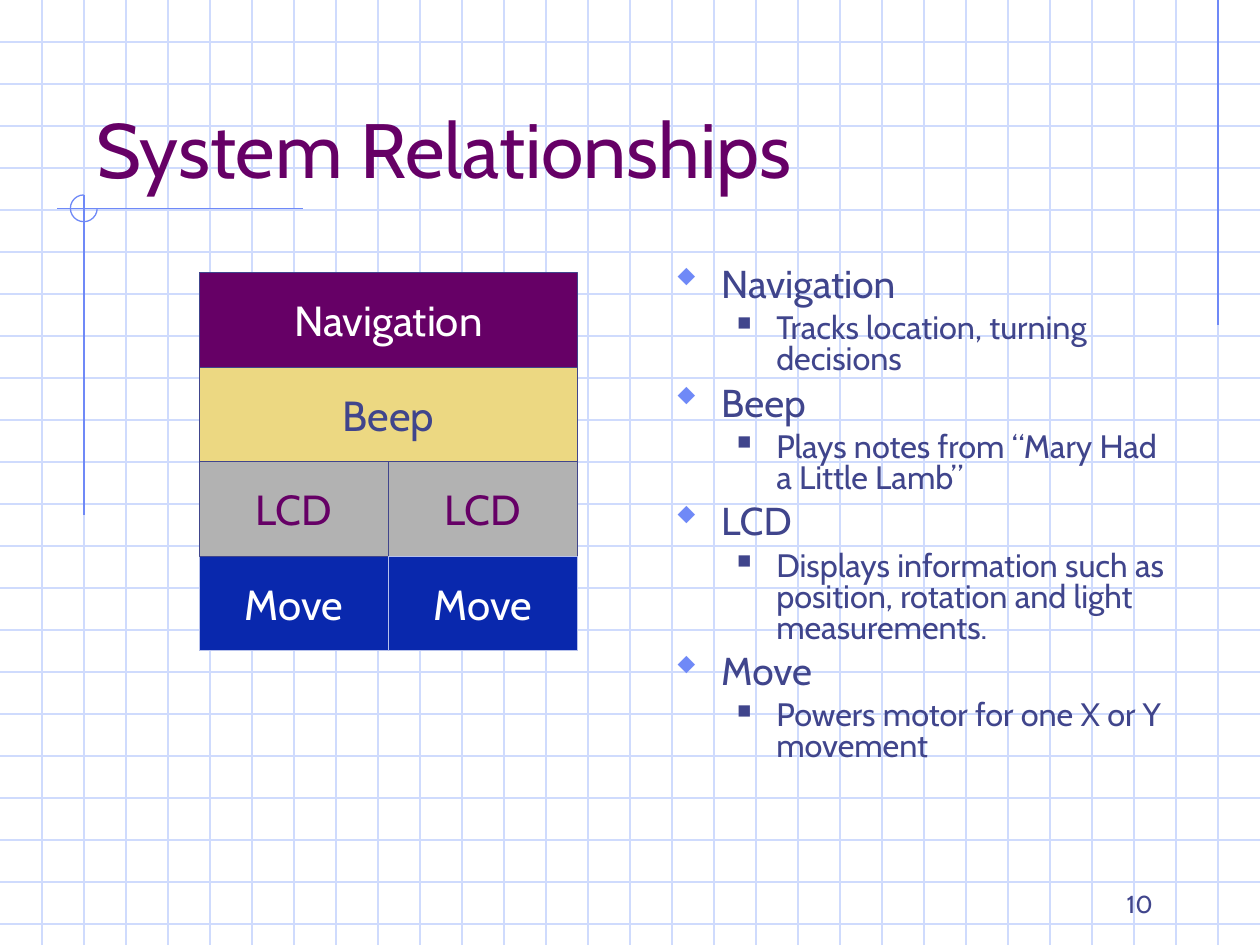
from dataclasses import dataclass

from lxml.etree import SubElement
from pptx import Presentation
from pptx.dml.color import RGBColor as Rgb
from pptx.enum.shapes import MSO_CONNECTOR as Link, MSO_SHAPE as Kind
from pptx.enum.text import MSO_ANCHOR as Anchor, PP_ALIGN as Align
from pptx.oxml.ns import qn
from pptx.util import Cm, Pt

FONT = "Cabin"
MARKS = "Wingdings"
WIDE, HIGH = 25.4, 19.05
STEP = WIDE / 30
LEFT, TOP = 4.02, 5.5
HALF, ROW = WIDE * 0.15, WIDE * 0.075
COLORS = {
    "grid": "CFDBFD",
    "accent": "6F89F7",
    "ink": "40458C",
    "plum": "660066",
    "sand": "ECD882",
    "gray": "B2B2B2",
    "blue": "0928AD",
    "pale": "B7C1EB",
    "white": "FFFFFF",
}


@dataclass
class Box:
    text: str
    col: int
    row: int
    span: int
    fill: str
    ink: str
    edge: str = "ink"


@dataclass
class Level:
    left: float
    hang: float
    before: float
    mark: str
    tint: str
    scale: int
    size: float


BOXES = [
    Box("Navigation", 0, 0, 2, "plum", "white"),
    Box("Move", 0, 3, 1, "blue", "white", "pale"),
    Box("Beep", 0, 1, 2, "sand", "ink"),
    Box("LCD", 1, 2, 1, "gray", "plum"),
    Box("LCD", 0, 2, 1, "gray", "plum"),
    Box("Move", 1, 3, 1, "blue", "white", "pale"),
]
HEAD = Level(0.95, 0.95, 6, "w", "accent", 110, 22.2)
ITEM = Level(2.06, 0.79, 5, "n", "ink", 60, 18.5)
TOPICS = [
    ("Navigation", "Tracks location, turning decisions"),
    ("Beep", "Plays notes from “Mary Had a Little Lamb”"),
    ("LCD", "Displays information such as position, rotation and light measurements."),
    ("Move", "Powers motor for one X or Y movement"),
]


def color(name: str) -> Rgb:
    return Rgb.from_string(COLORS[name])


def style(para, size: float, ink: str) -> None:
    para.font.name = FONT
    para.font.size = Pt(size)
    para.font.color.rgb = color(ink)


def outline(shape, ink: str) -> None:
    shape.line.color.rgb = color(ink)
    shape.line.width = Pt(0.75)


def add_line(slide, x1: float, y1: float, x2: float, y2: float, ink: str) -> None:
    line = slide.shapes.add_connector(Link.STRAIGHT, Cm(x1), Cm(y1), Cm(x2), Cm(y2))
    outline(line, ink)
    SubElement(line._element.spPr, qn("a:effectLst"))


def add_grid(slide) -> None:
    for i in range(1, 23):
        add_line(slide, 0, i * STEP, WIDE, i * STEP, "grid")
    for i in range(1, 30):
        add_line(slide, i * STEP, 0, i * STEP, HIGH, "grid")


def add_trim(slide) -> None:
    add_line(slide, 29 * STEP, 0, 29 * STEP, 6.55, "accent")
    add_line(slide, 6.1, 4.21, 1.15, 4.21, "accent")
    add_line(slide, 2 * STEP, 3.93, 2 * STEP, 10.39, "accent")
    arc = slide.shapes.add_shape(Kind.ARC, Cm(1.42), Cm(3.93), Cm(0.54), Cm(0.54))
    arc.adjustments[0] = 0
    arc.adjustments[1] = 162
    arc.shadow.inherit = False
    arc.fill.background()
    outline(arc, "accent")


def add_frame(slide, x: float, y: float, w: float, h: float, anchor: Anchor):
    frame = slide.shapes.add_textbox(Cm(x), Cm(y), Cm(w), Cm(h)).text_frame
    frame.word_wrap = True
    frame.vertical_anchor = anchor
    return frame


def add_label(slide, x: float, y: float, w: float, h: float,
              text: str, size: float, ink: str, align: Align) -> None:
    para = add_frame(slide, x, y, w, h, Anchor.BOTTOM).paragraphs[0]
    para.text = text
    para.alignment = align
    style(para, size, ink)


def add_box(slide, box: Box) -> None:
    shape = slide.shapes.add_shape(
        Kind.RECTANGLE, Cm(LEFT + box.col * HALF), Cm(TOP + box.row * ROW),
        Cm(box.span * HALF), Cm(ROW))
    shape.shadow.inherit = False
    shape.fill.solid()
    shape.fill.fore_color.rgb = color(box.fill)
    outline(shape, box.edge)
    frame = shape.text_frame
    frame.word_wrap = False
    frame.vertical_anchor = Anchor.MIDDLE
    para = frame.paragraphs[0]
    para.text = box.text
    para.alignment = Align.CENTER
    style(para, 24, box.ink)


def fill_point(para, text: str, level: Level) -> None:
    para.text = text
    para.line_spacing = 0.8
    para.space_before = Pt(level.before)
    props = para._p.get_or_add_pPr()
    props.set("marL", str(Cm(level.left)))
    props.set("indent", str(-Cm(level.hang)))
    tint = SubElement(props, qn("a:buClr"))
    SubElement(tint, qn("a:srgbClr"), val=COLORS[level.tint])
    SubElement(props, qn("a:buSzPct"), val=str(level.scale * 1000))
    SubElement(props, qn("a:buFont"), typeface=MARKS, pitchFamily="2", charset="2")
    SubElement(props, qn("a:buChar"), char=level.mark)
    style(para, level.size, "ink")


def add_topics(slide) -> None:
    frame = add_frame(slide, 13.34, 5.29, 10.58, 11.43, Anchor.TOP)
    points = [pair for head, item in TOPICS for pair in ((head, HEAD), (item, ITEM))]
    for i, (text, level) in enumerate(points):
        para = frame.add_paragraph() if i else frame.paragraphs[0]
        fill_point(para, text, level)


def main() -> None:
    deck = Presentation()
    deck.slide_width, deck.slide_height = Cm(WIDE), Cm(HIGH)
    slide = deck.slides.add_slide(deck.slide_layouts[6])
    add_grid(slide)
    add_trim(slide)
    add_label(slide, 1.69, 0.85, 21.59, 3.18, "System Relationships", 44, "plum", Align.LEFT)
    add_topics(slide)
    for box in BOXES:
        add_box(slide, box)
    add_label(slide, 18.2, 17.36, 5.29, 1.27, "10", 14, "ink", Align.RIGHT)
    deck.save("out.pptx")


if __name__ == "__main__":
    main()
